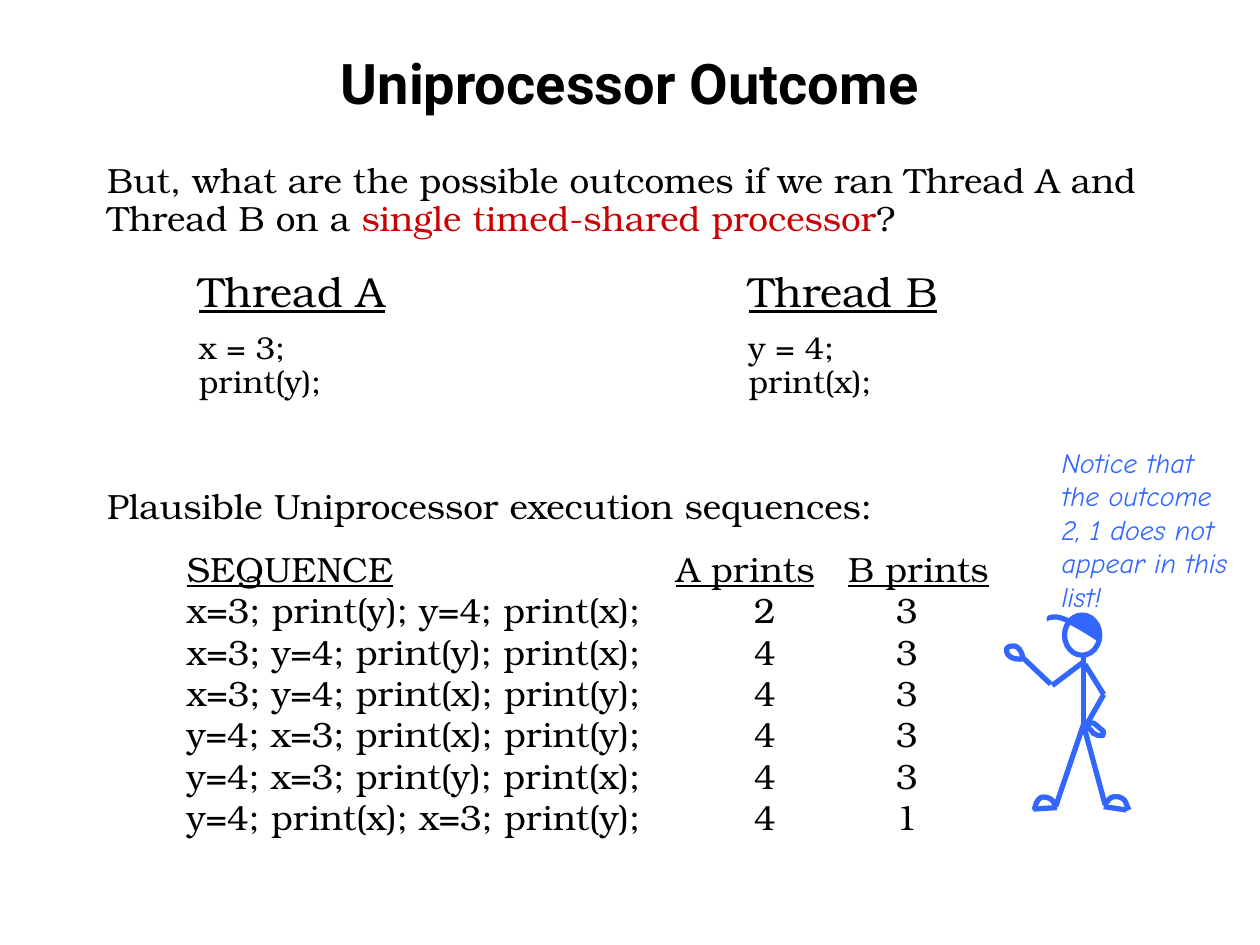
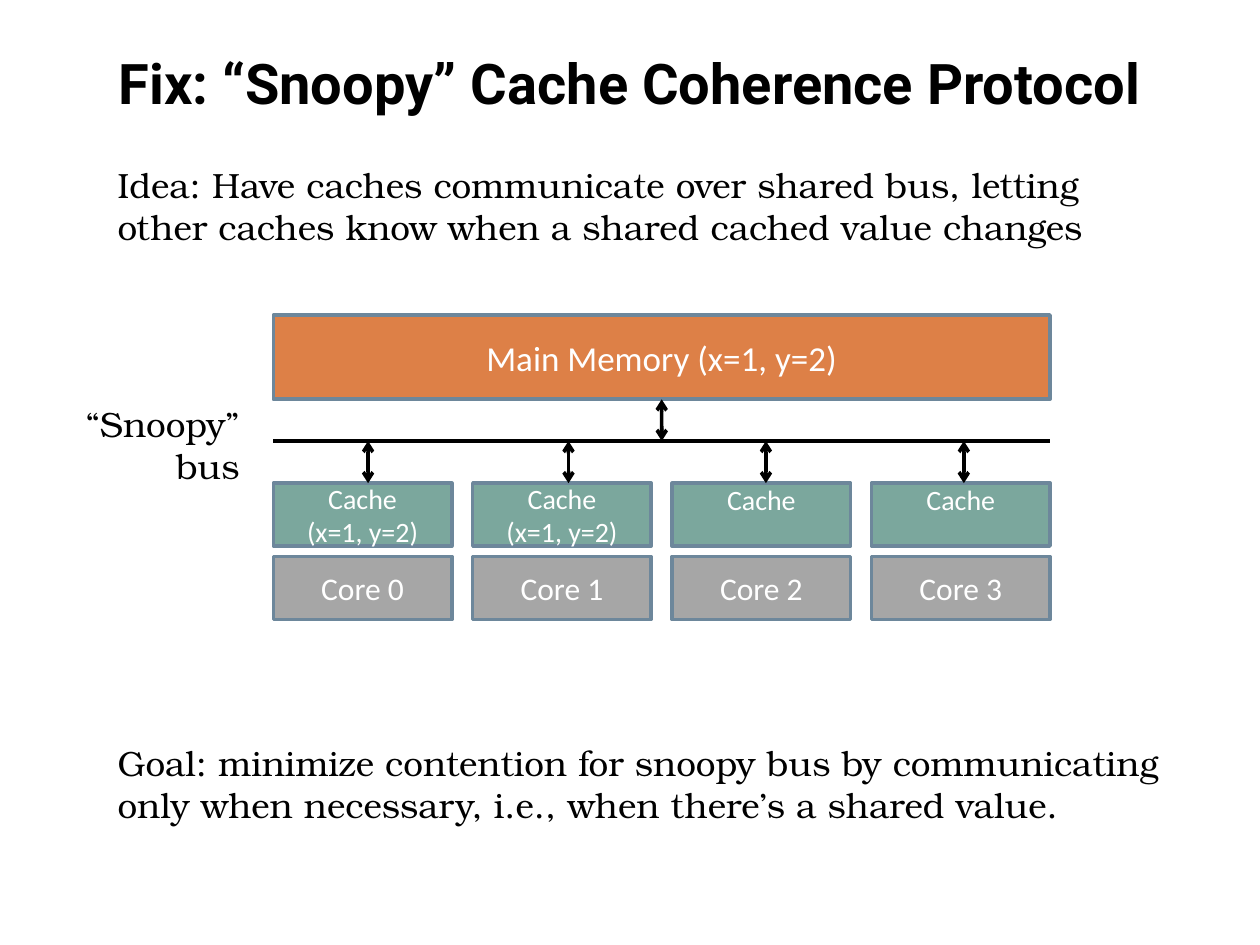
from dataclasses import dataclass
from itertools import product

from lxml.etree import SubElement
from pptx import Presentation
from pptx.dml.color import RGBColor
from pptx.enum.shapes import MSO_CONNECTOR, MSO_SHAPE
from pptx.enum.text import MSO_ANCHOR, MSO_AUTO_SIZE, PP_ALIGN
from pptx.oxml.ns import qn
from pptx.util import Cm, Pt

COLORS = {
    "text": "000000", "accent": "CC0000", "note": "3266FF", "figure": "3366FF",
    "memory": "DD8047", "cache": "7BA79D", "core": "A6A6A6", "outline": "6D879B",
    "light": "FFFFFF",
}
TITLE_FONT, BODY_FONT, NOTE_FONT, BLOCK_FONT = "Roboto", "TeX Gyre Bonum", "Comic Neue", "Calibri"
Point = tuple[float, float]


@dataclass(frozen=True)
class Span:
    text: str
    size: float = 20
    color: str = "text"
    font: str = BODY_FONT
    bold: bool = False
    italic: bool = False
    underline: bool = False


@dataclass(frozen=True)
class Para:
    spans: tuple[Span, ...]
    before: float = 0
    spacing: float = 1.0
    align: PP_ALIGN = PP_ALIGN.LEFT
    tabs: tuple[float, ...] = ()


@dataclass(frozen=True)
class Area:
    left: float
    top: float
    width: float
    height: float

    def lengths(self) -> tuple:
        return Cm(self.left), Cm(self.top), Cm(self.width), Cm(self.height)


@dataclass(frozen=True)
class Curve:
    points: tuple[Point, ...]
    closed: bool = False
    filled: bool = False
    width: float = 3


def rgb(name: str) -> RGBColor:
    return RGBColor.from_string(COLORS[name])


def format_run(run, span: Span) -> None:
    font = run.font
    font.name, font.size = span.font, Pt(span.size)
    font.bold, font.italic, font.underline = span.bold, span.italic, span.underline
    font.color.rgb = rgb(span.color)


def write(frame, paras: list[Para]) -> None:
    frame.word_wrap = True
    frame.text = "\n".join(para.spans[0].text for para in paras)
    for paragraph, para in zip(frame.paragraphs, paras):
        if para.tabs:
            tab_list = SubElement(paragraph._p.get_or_add_pPr(), qn("a:tabLst"))
            for position in para.tabs:
                SubElement(tab_list, qn("a:tab"), pos=str(Cm(position)), algn="l")
        paragraph.alignment = para.align
        paragraph.line_spacing = para.spacing
        paragraph.space_before = Pt(para.before)
        for run in paragraph.runs:
            format_run(run, para.spans[0])
        for span in para.spans[1:]:
            run = paragraph.add_run()
            run.text = span.text
            format_run(run, span)


def add_text(shapes, area: Area, *paras: Para) -> None:
    write(shapes.add_textbox(*area.lengths()).text_frame, list(paras))


def add_page(deck, title: str):
    page = deck.slides.add_slide(deck.slide_layouts[5])
    box = page.shapes.title
    box.left, box.top, box.width, box.height = Area(1.27, 0.76, 22.86, 1.78).lengths()
    span = Span(title, 32, font=TITLE_FONT, bold=True)
    write(box.text_frame, [Para((span,), align=PP_ALIGN.CENTER)])
    box.text_frame.auto_size = MSO_AUTO_SIZE.NONE
    box.text_frame.vertical_anchor = MSO_ANCHOR.MIDDLE
    return page


def add_line(shapes, start: Point, end: Point, color: str, width: float, arrows: bool = False):
    line = shapes.add_connector(MSO_CONNECTOR.STRAIGHT, *(Cm(value) for value in start + end))
    line.line.color.rgb, line.line.width = rgb(color), Pt(width)
    if arrows:
        outline = line.line._get_or_add_ln()
        for end_name in ("a:headEnd", "a:tailEnd"):
            SubElement(outline, qn(end_name), type="arrow")
    SubElement(line._element.spPr, qn("a:effectLst"))
    return line


def add_block(shapes, area: Area, lines: list[str], fill: str, size: float):
    block = shapes.add_shape(MSO_SHAPE.RECTANGLE, *area.lengths())
    block.shadow.inherit = False
    block.fill.solid()
    block.fill.fore_color.rgb = rgb(fill)
    block.line.color.rgb, block.line.width = rgb("outline"), Pt(2)
    write(block.text_frame, [
        Para((Span(line, size, "light", BLOCK_FONT),), align=PP_ALIGN.CENTER) for line in lines
    ])
    block.text_frame.vertical_anchor = MSO_ANCHOR.MIDDLE
    return block


def style_figure(shape, filled: bool, width: float) -> None:
    shape.shadow.inherit = False
    if filled:
        shape.fill.solid()
        shape.fill.fore_color.rgb = rgb("figure")
    else:
        shape.fill.background()
    shape.line.color.rgb, shape.line.width = rgb("figure"), Pt(width)


def bend_segments(shape) -> None:
    segments = list(shape._element.iter(qn("a:lnTo")))
    for first in range(0, len(segments), 3):
        bend, *others = segments[first:first + 3]
        bend.tag = qn("a:cubicBezTo")
        for other in others:
            bend.append(other[0])
            other.getparent().remove(other)


def add_curve(shapes, curve: Curve) -> None:
    start, *others = [(Cm(x), Cm(y)) for x, y in curve.points]
    builder = shapes.build_freeform(*start)
    builder.add_line_segments(others, close=curve.closed)
    shape = builder.convert_to_shape()
    bend_segments(shape)
    style_figure(shape, curve.filled, curve.width)


NECK, HIP, ELBOW = (21.84, 13.21), (21.84, 14.61), (22.25, 14)
LIMBS = (
    (NECK, HIP), (HIP, (21.29, 16.23)), (HIP, (22.28, 16.23)),
    ((21.31, 16.28), (20.83, 16.31)), ((22.25, 16.26), (22.71, 16.33)),
    ((21.82, 13.36), (21.21, 13.82)), ((21.18, 13.79), (20.62, 13.26)),
    ((21.87, 13.39), ELBOW), (ELBOW, (21.92, 14.58)),
)
LEFT_FOOT = Curve((
    (20.85, 16.33), (20.88, 16.21), (20.9, 16.13), (20.98, 16.08), (21.03, 16.05),
    (21.16, 16.08), (21.21, 16.13), (21.23, 16.15), (21.29, 16.26), (21.29, 16.28),
))
RIGHT_FOOT = Curve((
    (22.76, 16.33), (22.68, 16.18), (22.71, 16.15), (22.63, 16.1), (22.58, 16.05),
    (22.45, 16.05), (22.4, 16.08), (22.35, 16.1), (22.3, 16.21), (22.25, 16.23),
))
RAISED_HAND = Curve((
    (20.62, 13.26), (20.62, 13.23), (20.57, 13.08), (20.52, 13.06), (20.47, 13),
    (20.4, 13.03), (20.35, 13.03), (20.32, 13.06), (20.29, 13.06), (20.29, 13.08),
    (20.29, 13.11), (20.29, 13.18), (20.35, 13.23), (20.37, 13.26), (20.42, 13.26),
    (20.47, 13.28), (20.52, 13.28), (20.6, 13.31), (20.62, 13.26),
), closed=True)
HIP_HAND = Curve((
    (21.87, 14.55), (21.89, 14.55), (22, 14.58), (22.05, 14.58), (22.1, 14.61),
    (22.15, 14.66), (22.17, 14.68), (22.2, 14.71), (22.25, 14.73), (22.25, 14.76),
    (22.25, 14.78), (22.25, 14.81), (22.23, 14.83), (22.2, 14.83), (22.12, 14.83),
    (22.1, 14.81), (22.05, 14.81), (22.02, 14.76), (22, 14.73), (21.95, 14.68),
    (21.87, 14.58), (21.87, 14.55),
), closed=True)
BRIM = Curve((
    (22.15, 12.88), (22, 12.78), (21.82, 12.67), (21.69, 12.6), (21.56, 12.52),
    (21.44, 12.47), (21.36, 12.45), (21.26, 12.42), (21.21, 12.45), (21.16, 12.45),
    (21.13, 12.47), (21.16, 12.5), (21.16, 12.5),
))
CAP = Curve((
    (22.17, 12.83), (22.23, 12.83), (22.17, 12.67), (22.12, 12.6), (22.1, 12.55),
    (22.02, 12.47), (21.95, 12.45), (21.87, 12.4), (21.79, 12.4), (21.74, 12.4),
    (21.69, 12.4), (21.67, 12.45), (21.64, 12.47), (21.62, 12.47), (21.56, 12.47),
    (21.59, 12.5), (21.64, 12.55), (21.77, 12.62), (21.87, 12.67), (21.95, 12.75),
    (22.12, 12.85), (22.17, 12.83),
), closed=True, filled=True, width=0.75)


def add_figure(page) -> None:
    shapes = page.shapes.add_group_shape().shapes
    note = Span("Notice that the outcome 2, 1 does not appear in this list!", 16, "note", NOTE_FONT, italic=True)
    add_text(shapes, Area(21.15, 8.85, 3.94, 3.68), Para((note,)))
    for start, end in LIMBS:
        add_line(shapes, start, end, "figure", 3)
    for curve in (LEFT_FOOT, RIGHT_FOOT, RAISED_HAND, HIP_HAND):
        add_curve(shapes, curve)
    head = shapes.add_shape(MSO_SHAPE.OVAL, *Area(21.46, 12.4, 0.71, 0.81).lengths())
    style_figure(head, False, 3)
    for curve in (BRIM, CAP):
        add_curve(shapes, curve)


SEQUENCES = (
    ("x=3; print(y); y=4; print(x);", 2, 3),
    ("x=3; y=4; print(y); print(x);", 4, 3),
    ("x=3; y=4; print(x); print(y);", 4, 3),
    ("y=4; x=3; print(x); print(y);", 4, 3),
    ("y=4; x=3; print(y); print(x);", 4, 3),
    ("y=4; print(x); x=3; print(y);", 4, 1),
)
THREADS = (
    (3.76, "Thread A", "x = 3;\vprint(y);"),
    (14.84, "Thread B", "y = 4;\vprint(x);"),
)


def build_outcome(deck) -> None:
    page = add_page(deck, "Uniprocessor Outcome")
    add_text(page.shapes, Area(1.91, 3.17, 22.23, 1.8), Para((
        Span("But, what are the possible outcomes if we ran Thread A and\vThread B on a "),
        Span("single timed-shared processor", color="accent"),
        Span("?"),
    ), spacing=0.9))
    for left, name, code in THREADS:
        add_text(
            page.shapes, Area(left, 5.34, 7.32, 2.95),
            Para((Span(name, 24, underline=True),), spacing=0.9),
            Para((Span(code, 18),), before=9, spacing=0.9),
        )
    add_text(page.shapes, Area(1.91, 9.73, 16.1, 1.04),
             Para((Span("Plausible Uniprocessor execution sequences:"),), spacing=0.9))
    heading = Para((
        Span("SEQUENCE", underline=True), Span("\t"), Span("A prints", underline=True),
        Span("\t"), Span("B prints", underline=True),
    ), spacing=0.9, tabs=(9.86, 13.33))
    rows = [
        Para((Span(f"{sequence}\t{a}\t{b}"),), before=2, spacing=0.9, tabs=(11.43, 14.29))
        for sequence, a, b in SEQUENCES
    ]
    add_text(page.shapes, Area(3.52, 11.01, 19.46, 6.17), heading, *rows)
    add_figure(page)


def build_snoopy(deck) -> None:
    page = add_page(deck, "Fix: “Snoopy” Cache Coherence Protocol")
    shapes = page.shapes
    left, width, pitch, bus = 5.51, 3.6, 4.02, 8.89
    cache_top, core_top, height = 9.74, 11.22, 1.27
    span = 3 * pitch + width
    memory = add_block(shapes, Area(left, 6.35, span, 1.7), ["Main Memory (x=1, y=2)"], "memory", 20)
    for core, (fill, top) in product(range(4), (("cache", cache_top), ("core", core_top))):
        area = Area(left + core * pitch, top, width, height)
        if fill == "core":
            add_block(shapes, area, [f"Core {core}"], fill, 18)
        elif core < 2:
            add_block(shapes, area, ["Cache", "(x=1, y=2)"], fill, 16)
        else:
            frame = add_block(shapes, area, ["Cache"], fill, 16).text_frame
            frame.margin_top, frame.margin_bottom = 0, Cm(0.61)
    add_line(shapes, (left, bus), (left + span, bus), "text", 2)
    middle = left + span / 2
    add_line(shapes, (middle, bus), (middle, 8.05), "text", 2, arrows=True).end_connect(memory, 2)
    for x in (7.42, 11.46, 15.44, 19.43):
        add_line(shapes, (x, cache_top), (x, bus), "text", 2, arrows=True)
    add_text(shapes, Area(2.12, 3.18, 21.79, 1.96), Para((Span(
        "Idea: Have caches communicate over shared bus, letting other caches know "
        "when a shared cached value changes"),)))
    add_text(shapes, Area(1.42, 7.98, 3.66, 1.96),
             *(Para((Span(word),), align=PP_ALIGN.RIGHT) for word in ("“Snoopy”", "bus")))
    add_text(shapes, Area(2.12, 14.82, 21.59, 1.96), Para((Span(
        "Goal: minimize contention for snoopy bus by communicating only when necessary, "
        "i.e., when there’s a shared value."),)))


def main() -> None:
    deck = Presentation()
    deck.slide_width, deck.slide_height = Cm(25.4), Cm(19.05)
    build_outcome(deck)
    build_snoopy(deck)
    deck.save("out.pptx")


if __name__ == "__main__":
    main()
